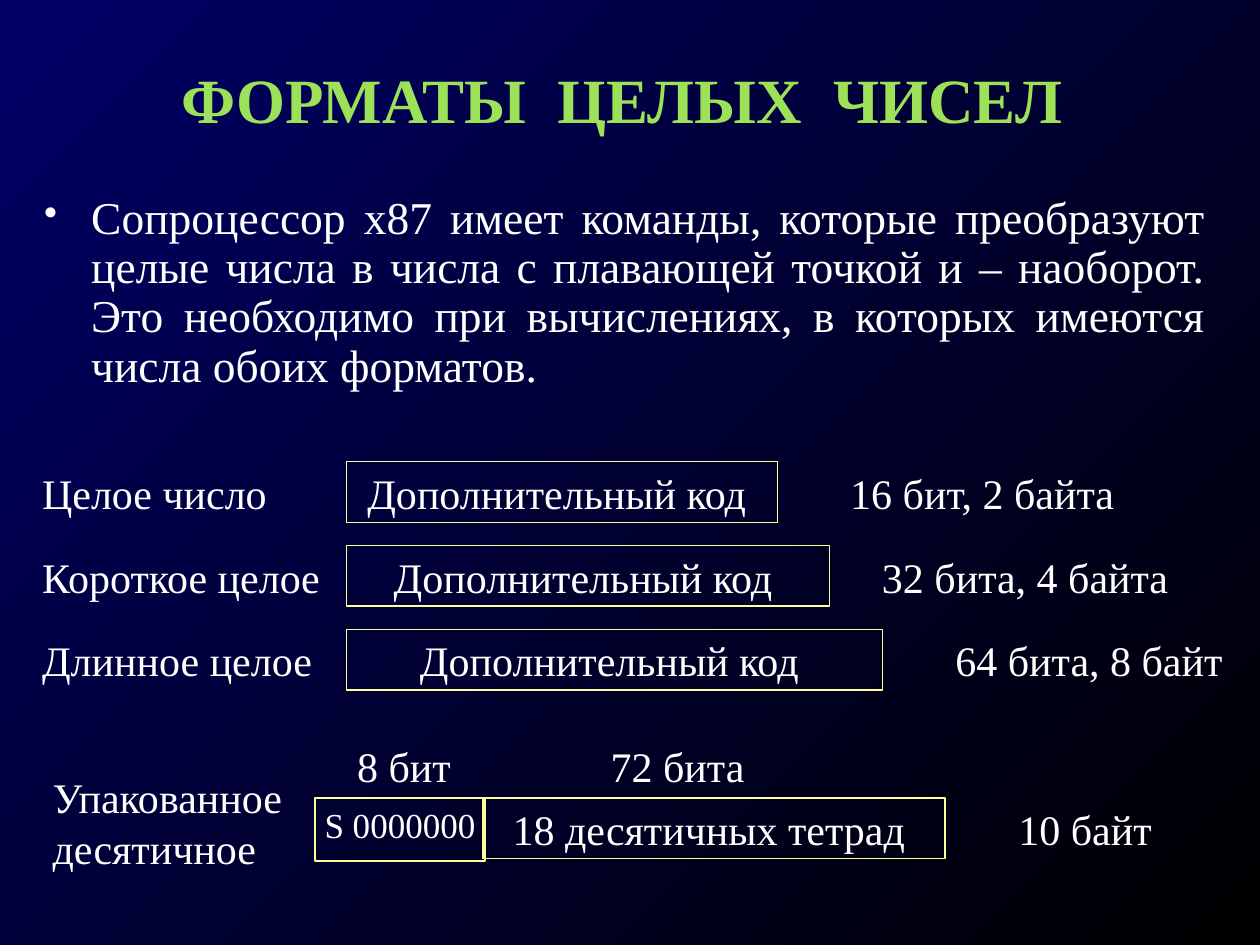
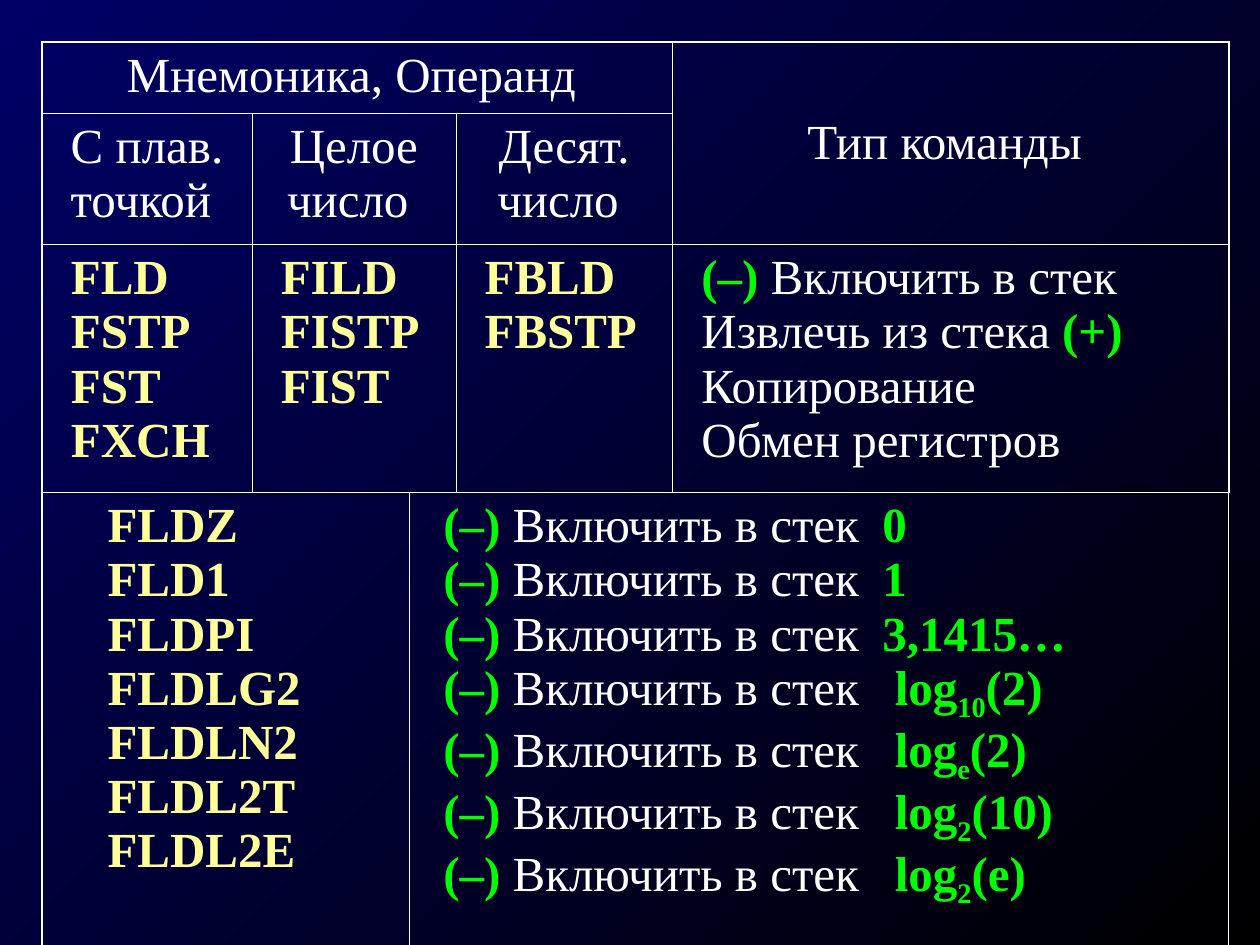
import dataclasses
import pptx
import pptx.dml.color
import pptx.enum.shapes
import pptx.enum.text
import pptx.oxml.ns
import pptx.util
import lxml.etree

Cm = pptx.util.Cm
Pt = pptx.util.Pt
ALIGN = pptx.enum.text.PP_ALIGN
ANCHOR = pptx.enum.text.MSO_ANCHOR


def rgb(code):
    return pptx.dml.color.RGBColor.from_string(code)


@dataclasses.dataclass(frozen=True)
class Theme:
    face: str = "Times New Roman"
    deep: str = "000066"
    black: str = "000000"
    white: str = "FFFFFF"
    lime: str = "9CE157"
    cream: str = "FFFF99"
    green: str = "00FF00"
    title: int = 36
    body: int = 26
    label: int = 24
    small: int = 20
    cell: int = 28
    outer: float = 1.08
    inner: float = 0.45


THEME = Theme()


def node(parent, tag, **attrs):
    return lxml.etree.SubElement(parent, pptx.oxml.ns.qn(tag), **attrs)


def style(para, size, color=THEME.white, bold=False, align=ALIGN.LEFT):
    para.alignment = align
    para.font.name = THEME.face
    para.font.size = Pt(size)
    para.font.bold = bold
    para.font.color.rgb = rgb(color)


def accent(para, text, sub=False):
    run = para.add_run()
    run.text = text
    run.font.bold = True
    run.font.color.rgb = rgb(THEME.green)
    if sub:
        run._r.get_or_add_rPr().set("baseline", "-25000")


def plain(para, text):
    para.add_run().text = text


def add_page(deck):
    page = deck.slides.add_slide(deck.slide_layouts[6])
    fill = page.background.fill
    fill.gradient()
    fill.gradient_angle = 315
    for stop, color, place in zip(fill.gradient_stops, (THEME.deep, THEME.black), (0, 1)):
        stop.color.rgb = rgb(color)
        stop.position = place
    return page


def set_frame(frame, pad_x, pad_y, anchor=ANCHOR.TOP):
    frame.word_wrap = True
    frame.vertical_anchor = anchor
    frame.margin_left = frame.margin_right = Cm(pad_x)
    frame.margin_top = frame.margin_bottom = Cm(pad_y)
    return frame.paragraphs[0]


def add_title(page, text):
    box = page.shapes.add_textbox(Cm(1.9), Cm(0.94), Cm(21.6), Cm(2.1))
    para = set_frame(box.text_frame, 0.25, 0.13, ANCHOR.MIDDLE)
    para.text = text
    style(para, THEME.title, THEME.lime, True, ALIGN.CENTER)


def add_body(page, text):
    box = page.shapes.add_textbox(Cm(0.64), Cm(3.81), Cm(23.92), Cm(4.45))
    para = set_frame(box.text_frame, 0.25, 0.13)
    para.text = text
    para.line_spacing = 0.9
    props = para._p.get_or_add_pPr()
    props.set("marL", str(Cm(0.95)))
    props.set("indent", str(-Cm(0.95)))
    node(node(props, "a:buClr"), "a:srgbClr", val=THEME.white)
    node(props, "a:buSzPct", val="85000")
    node(props, "a:buChar", char="•")
    style(para, THEME.body, align=ALIGN.JUSTIFY)


def add_label(page, text, left, top, width, height=1.22, align=ALIGN.LEFT):
    box = page.shapes.add_textbox(Cm(left), Cm(top), Cm(width), Cm(height))
    para = set_frame(box.text_frame, 0.21, 0.11)
    para.text = text
    style(para, THEME.label, align=align)


def add_field(page, text, left, top, width, height=1.22, size=THEME.label, pad=0.21, weight=0.75):
    kind = pptx.enum.shapes.MSO_SHAPE.RECTANGLE
    box = page.shapes.add_shape(kind, Cm(left), Cm(top), Cm(width), Cm(height))
    box.shadow.inherit = False
    box.fill.background()
    box.line.color.rgb = rgb(THEME.cream)
    box.line.width = Pt(weight)
    para = set_frame(box.text_frame, pad, 0.11)
    para.text = text
    style(para, size, align=ALIGN.CENTER)


def set_edge(cell, side, points):
    props = cell._tc.get_or_add_tcPr()
    edge = node(props, "a:ln" + side, w=str(Pt(points)))
    node(node(edge, "a:solidFill"), "a:srgbClr", val=THEME.white)


def add_grid(page, cols, rows):
    frame = page.shapes.add_table(
        len(rows), len(cols), Cm(0.85), Cm(0.85), Cm(sum(cols)), Cm(sum(rows)))
    grid = frame.table
    grid.first_row = grid.horz_banding = False
    for col, width in zip(grid.columns, cols):
        col.width = Cm(width)
    for row, height in zip(grid.rows, rows):
        row.height = Cm(height)
    for r in range(len(rows)):
        for c in range(len(cols)):
            cell = grid.cell(r, c)
            rims = {"L": c == 0, "R": c == len(cols) - 1, "T": r == 0, "B": r == len(rows) - 1}
            for side, rim in rims.items():
                set_edge(cell, side, THEME.outer if rim else THEME.inner)
            cell.fill.background()
    return grid


def put_lines(cell, lines, color=THEME.white, bold=False, align=ALIGN.LEFT, pad=0.25):
    cell.margin_left = Cm(pad)
    frame = cell.text_frame
    for i, line in enumerate(lines):
        para = frame.add_paragraph() if i else frame.paragraphs[0]
        para.text = line
        style(para, THEME.cell, color, bold, align)


def put_loads(cell, loads):
    cell.margin_left = Cm(0.69)
    frame = cell.text_frame
    for i, (lead, base, tail) in enumerate(loads):
        para = frame.add_paragraph() if i else frame.paragraphs[0]
        stops = node(para._p.get_or_add_pPr(), "a:tabLst")
        node(stops, "a:tab", pos=str(Cm(9.1 if base else 8.85)), algn="l")
        style(para, THEME.cell)
        accent(para, "(–)")
        plain(para, " Включить в стек\t")
        accent(para, lead)
        if base:
            accent(para, base, True)
            accent(para, tail)


def put_kinds(cell):
    put_lines(cell, ["", "", "Копирование", "Обмен регистров"], pad=0.58)
    push, pop = cell.text_frame.paragraphs[:2]
    accent(push, "(–)")
    plain(push, " Включить в стек")
    plain(pop, "Извлечь из стека ")
    accent(pop, "(+)")


def draw_formats(deck):
    page = add_page(deck)
    add_title(page, "ФОРМАТЫ  ЦЕЛЫХ  ЧИСЕЛ ")
    add_body(page, "Сопроцессор х87 имеет команды, которые преобразуют целые числа "
             "в числа с плавающей точкой и – наоборот. Это необходимо при вычислениях, "
             "в которых имеются числа обоих форматов.")
    formats = [
        ("Целое число", "16 бит, 2 байта", 16.93),
        ("Короткое целое", "32 бита, 4 байта", 17.57),
        ("Длинное целое", "64 бита, 8 байт", 19.05),
    ]
    for i, (name, size, left) in enumerate(formats):
        top = 9.31 + 1.69 * i
        add_label(page, name, 0.64, top, 6.35)
        add_field(page, "Дополнительный код ", 6.99, top, 8.68 + 1.06 * i)
        add_label(page, size, left, top, 6.35)
    add_label(page, "Упакованное десятичное", 0.85, 15.45, 5.93, 2.24)
    add_field(page, "18 десятичных тетрад ", 9.74, 16.09, 9.31)
    add_field(page, "S 0000000", 6.35, 16.09, 3.43, 1.27, THEME.small, 0, 1)
    add_label(page, "8 бит ", 6.77, 14.82, 2.96, align=ALIGN.CENTER)
    add_label(page, "72 бита ", 12.07, 14.82, 3.39, align=ALIGN.CENTER)
    add_label(page, "10 байт", 20.32, 16.09, 3.6)


def draw_commands(deck):
    page = add_page(deck)
    grid = add_grid(page, [4.23, 3.17, 0.94, 4.37, 11.21], [1.44, 2.64, 5, 9.22])
    spans = [(0, 0, 0, 3), (0, 4, 1, 4), (1, 1, 1, 2), (2, 1, 2, 2), (3, 0, 3, 1), (3, 2, 3, 4)]
    for top, left, bottom, right in spans:
        grid.cell(top, left).merge(grid.cell(bottom, right))
    heads = [
        (0, 0, ["Мнемоника, Операнд "]),
        (0, 4, ["Тип команды "]),
        (1, 0, ["С плав. точкой "]),
        (1, 1, ["Целое число "]),
        (1, 3, ["Десят.", "число "]),
    ]
    for row, col, lines in heads:
        put_lines(grid.cell(row, col), lines, align=ALIGN.CENTER)
    grid.cell(0, 4).vertical_anchor = ANCHOR.MIDDLE
    codes = [
        (2, 0, 0.58, "FLD FSTP FST FXCH"),
        (2, 1, 0.58, "FILD FISTP FIST"),
        (2, 3, 0.58, "FBLD FBSTP"),
        (3, 0, 1.32, "FLDZ FLD1 FLDPI FLDLG2 FLDLN2 FLDL2T FLDL2E"),
    ]
    for row, col, pad, names in codes:
        put_lines(grid.cell(row, col), names.split(), THEME.cream, True, pad=pad)
    put_kinds(grid.cell(2, 4))
    put_loads(grid.cell(3, 2), [
        ("0", "", ""), ("1", "", ""), ("3,1415…", "", ""),
        ("log", "10", "(2)"), ("log", "e", "(2)"), ("log", "2", "(10)"), ("log", "2", "(e)"),
    ])


def main():
    deck = pptx.Presentation()
    deck.slide_width, deck.slide_height = Cm(25.4), Cm(19.05)
    draw_formats(deck)
    draw_commands(deck)
    deck.save("out.pptx")


if __name__ == "__main__":
    main()
